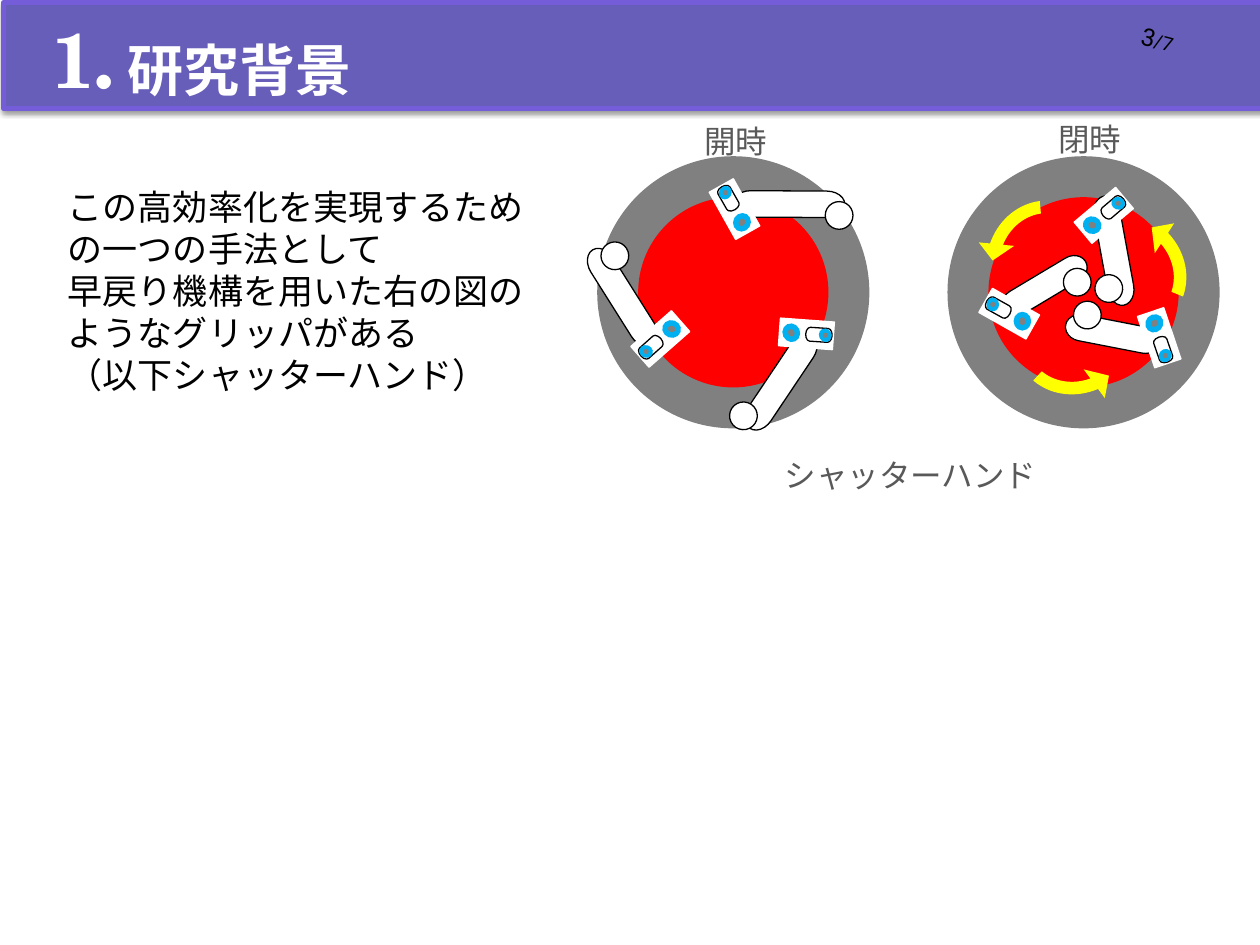
import math
import lxml.etree
import pptx
import pptx.util
import pptx.dml.color
import pptx.enum.lang
import pptx.enum.shapes
import pptx.enum.text
import pptx.oxml.ns

Inches = pptx.util.Inches
Kind = pptx.enum.shapes.MSO_SHAPE
Align = pptx.enum.text.PP_ALIGN
Anchor = pptx.enum.text.MSO_ANCHOR
qn = pptx.oxml.ns.qn

THEME = {
    "font": "Roboto", "serif": "TeX Gyre Schola",
    "white": "FFFFFF", "black": "000000", "label": "595959",
    "band": "665EB8", "edge": "755DD9", "rim": "808080",
    "disc": "FF0000", "pin": "00B0F0", "turn": "FFFF00",
    "number": 44, "title": 32, "body": 20, "caption": 18, "page": 14, "total": 11,
}

TITLE = "研究背景"
NUMBER = "1."
PAGE = ("3", "/7")
BODY = [
    "この高効率化を実現するための一つの手法として",
    "早戻り機構を用いた右の図のようなグリッパがある",
    "（以下シャッターハンド）",
]
LABELS = [
    ("シャッターハンド", 6.13, 3.57, 2.22),
    ("開時", 5.49, 0.92, 0.7),
    ("閉時", 8.3, 0.9, 0.7),
]
HUBS = [(5.82, 2.32), (8.6, 2.32)]
RIM, DISC = 2.16, 1.51

ARMS = [
    {"bar": (6.2, 3.03), "size": 0.89, "turn": 123.8, "tip": (5.9, 3.3), "plate": (6.4, 2.65), "tilt": 94.2},
    {"bar": (6.26, 1.62), "size": 0.89, "turn": 0.3, "tip": (6.66, 1.71), "plate": (5.83, 1.66), "tilt": 330.7},
    {"bar": (4.94, 2.36), "size": 0.89, "turn": 237.8, "tip": (4.88, 2.03), "plate": (5.24, 2.69), "tilt": 228.7},
    {"bar": (8.83, 2.65), "size": 0.76, "turn": 191, "tip": (8.63, 2.5), "plate": (9.2, 2.68), "tilt": 161.4},
    {"bar": (8.84, 1.99), "size": 0.88, "turn": 79.6, "tip": (8.8, 2.29), "plate": (8.76, 1.71), "tilt": 50},
    {"bar": (8.29, 2.27), "size": 0.76, "turn": 329.1, "tip": (8.55, 2.24), "plate": (8.01, 2.49), "tilt": 299.5},
]
PARTS = [
    (Kind.RECTANGLE, 0, 0.22, 0.43, 0, "white", "white"),
    (Kind.OVAL, 0.12, 0.15, 0.14, -29.5, "pin", None),
    (Kind.OVAL, 0.12, 0.06, 0.05, -29.5, "rim", None),
    (Kind.FLOWCHART_TERMINATOR, -0.1, 0.21, 0.11, -90.4, None, "black"),
    (Kind.OVAL, -0.15, 0.11, 0.1, -29.5, "pin", None),
    (Kind.OVAL, -0.15, 0.04, 0.04, -29.5, "rim", None),
]
TURNS = [(8.3, 2.11, 5.4), (8.55, 2.64, 233.3), (8.91, 2.16, 122.6)]
BEND = (0.088, 10.793, 204.984, 168.412, 0.125)


def tint(name):
    return pptx.dml.color.RGBColor.from_string(THEME[name])


def draw(home, kind, mid, wide, high, turn=0, fill=None, line=None, weight=0.75):
    left, top = mid[0] - wide / 2, mid[1] - high / 2
    shape = home.add_shape(kind, Inches(left), Inches(top), Inches(wide), Inches(high))
    shape.rotation = turn % 360
    shape.shadow.inherit = False
    if fill:
        shape.fill.solid()
        shape.fill.fore_color.rgb = tint(fill)
    else:
        shape.fill.background()
    if line:
        shape.line.color.rgb = tint(line)
        shape.line.width = pptx.util.Pt(weight)
    else:
        shape.line.fill.background()
    return shape


def write(para, text, size, color, font="font", bold=False):
    run = para.add_run()
    run.text = text
    face = run.font
    face.name = THEME[font]
    face.size = pptx.util.Pt(THEME[size])
    face.color.rgb = tint(color)
    face.bold = bold
    face.language_id = pptx.enum.lang.MSO_LANGUAGE_ID.JAPANESE
    east = lxml.etree.SubElement(run.font._element, qn("a:ea"))
    east.set("typeface", THEME[font])


def add_box(home, left, top, wide, high):
    box = home.add_textbox(Inches(left), Inches(top), Inches(wide), Inches(high))
    box.text_frame.word_wrap = True
    return box


def add_head(slide):
    home = slide.shapes
    title = home.title
    title.left, title.top = Inches(0.91), Inches(-0.08)
    title.width, title.height = Inches(9), Inches(1.25)
    title.text_frame.vertical_anchor = Anchor.MIDDLE
    para = title.text_frame.paragraphs[0]
    para.alignment = Align.LEFT
    write(para, TITLE, "title", "white", bold=True)

    band = draw(home, Kind.RECTANGLE, (5.03, 0.44), 10, 0.84, 0, "band", "edge", 3)
    glow = band.element.spPr.find(qn("a:effectLst"))
    shade = lxml.etree.SubElement(glow, qn("a:outerShdw"), blurRad="38100", dist="20000", dir="5400000", rotWithShape="0")
    color = lxml.etree.SubElement(shade, qn("a:srgbClr"), val=THEME["black"])
    lxml.etree.SubElement(color, qn("a:alpha"), val="40000")
    title.element.addprevious(band.element)

    page = add_box(home, 8.81, 0.11, 0.76, 0.4)
    page.rotation = 15
    page.text_frame.vertical_anchor = Anchor.MIDDLE
    para = page.text_frame.paragraphs[0]
    para.alignment = Align.CENTER
    for text, size in zip(PAGE, ("page", "total")):
        write(para, text, size, "black")

    box = add_box(home, 0.31, 0.04, 0.75, 0.84)
    write(box.text_frame.paragraphs[0], NUMBER, "number", "white", "serif", True)


def add_body(home):
    frame = add_box(home, 0.44, 1.42, 3.83, 1.78).text_frame
    for row, text in enumerate(BODY):
        para = frame.add_paragraph() if row else frame.paragraphs[0]
        write(para, text, "body", "black")


def add_arm(home, arm):
    group = home.add_group_shape().shapes
    draw(group, Kind.FLOWCHART_TERMINATOR, arm["bar"], arm["size"], 0.21, arm["turn"], "white", "black")
    draw(group, Kind.OVAL, arm["tip"], 0.22, 0.22, arm["turn"], "white", "black")
    x, y = arm["plate"]
    angle = math.radians(arm["tilt"])
    for kind, reach, wide, high, twist, fill, line in PARTS:
        mid = (x - reach * math.sin(angle), y + reach * math.cos(angle))
        draw(group, kind, mid, wide, high, arm["tilt"] + twist, fill, line)


def add_hands(home):
    for hub in HUBS:
        draw(home, Kind.OVAL, hub, RIM, RIM, 15, "rim")
        draw(home, Kind.OVAL, hub, DISC, DISC, 0, "disc")
    for arm in ARMS:
        add_arm(home, arm)
    for x, y, turn in TURNS:
        arrow = draw(home, Kind.CIRCULAR_ARROW, (x, y), 1.13, 1.22, turn, "turn")
        arrow.element.spPr.find(qn("a:xfrm")).set("flipH", "1")
        for spot, value in enumerate(BEND):
            arrow.adjustments[spot] = value
    for text, left, top, wide in LABELS:
        box = add_box(home, left, top, wide, 0.4)
        write(box.text_frame.paragraphs[0], text, "caption", "label")


def main():
    deck = pptx.Presentation()
    deck.slide_width, deck.slide_height = Inches(10), Inches(7.5)
    slide = deck.slides.add_slide(deck.slide_layouts[5])
    add_head(slide)
    add_body(slide.shapes)
    add_hands(slide.shapes)
    deck.save("out.pptx")


if __name__ == "__main__":
    main()
